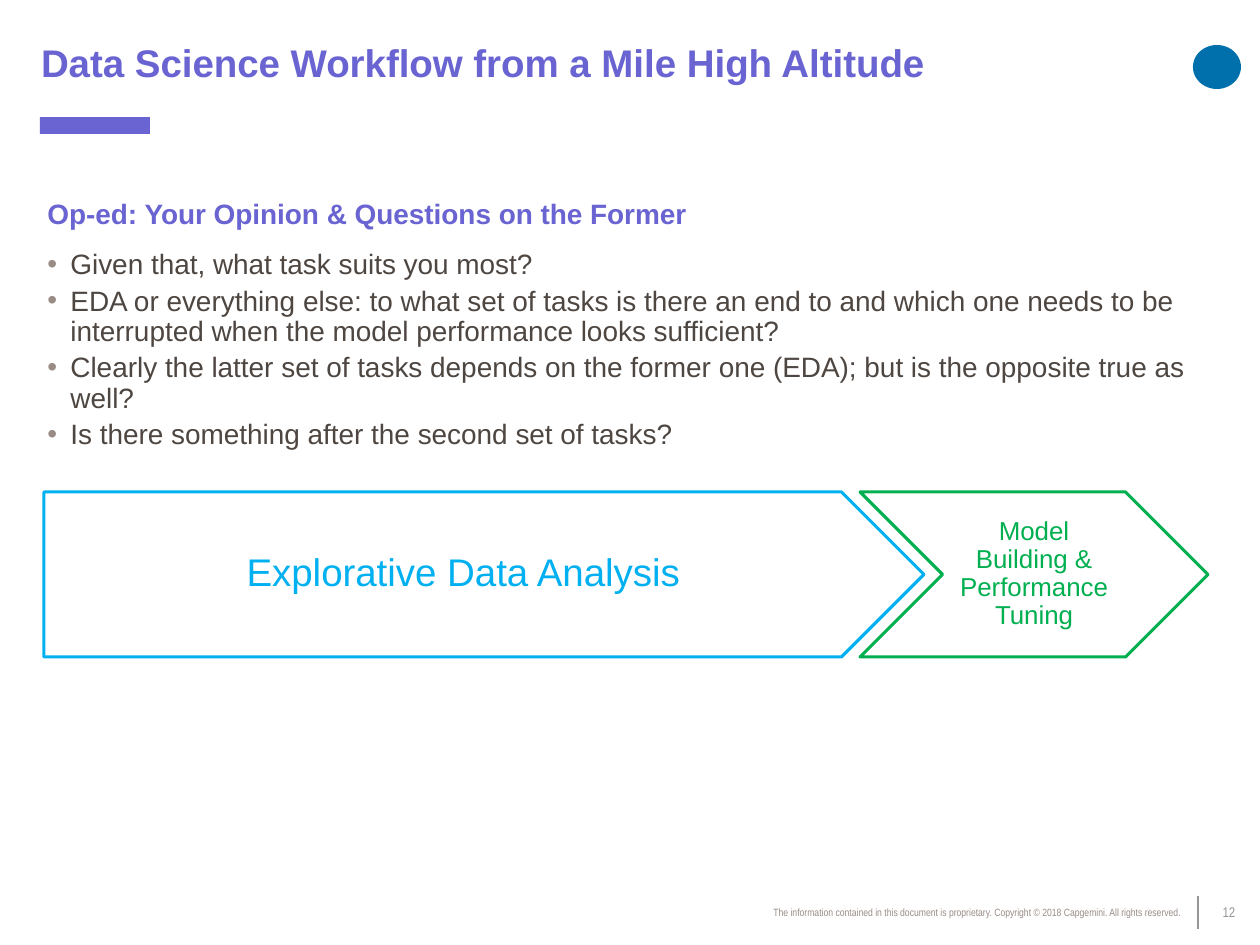
from dataclasses import dataclass

from lxml.etree import SubElement
from pptx import Presentation
from pptx.dml.color import RGBColor
from pptx.enum.shapes import MSO_CONNECTOR, MSO_SHAPE
from pptx.enum.text import MSO_ANCHOR as Anchor, PP_ALIGN as Align
from pptx.oxml.ns import qn
from pptx.util import Pt

EMU_PER_PX = 914400 / 126


def px(length):
    return round(length * EMU_PER_PX)


@dataclass(frozen=True)
class Theme:
    font: str = "Arial"
    narrow: str = "Arial Narrow"
    purple: str = "6964D1"
    body: str = "4E4641"
    bullet: str = "998C85"
    grey: str = "969696"
    white: str = "FFFFFF"
    blue: str = "00B0F0"
    green: str = "00B050"
    emblem: str = "0070AD"
    title_size: float = 22
    body_size: float = 16
    stage_size: float = 14.8
    number_size: float = 8
    footer_size: float = 6
    line_spacing: float = 0.9
    footer_spacing: float = 0.85
    space_after: float = 3.7


class SlideBuilder:
    def __init__(self, slide, theme):
        self.slide = slide
        self.theme = theme

    def style(self, paragraph, size, color, bold=False, align=Align.LEFT, font=None, spacing=None):
        paragraph.alignment = align
        paragraph.line_spacing = spacing or self.theme.line_spacing
        paragraph.font.name = font or self.theme.font
        paragraph.font.size = Pt(size)
        paragraph.font.bold = bold
        paragraph.font.color.rgb = RGBColor.from_string(color)

    def title(self, text, left, top, width, height):
        title = self.slide.shapes.title
        title.left, title.top, title.width, title.height = map(px, (left, top, width, height))
        frame = title.text_frame
        frame.text = text
        frame.vertical_anchor = Anchor.MIDDLE
        frame.margin_left, frame.margin_right = px(41), px(23)
        frame.margin_top = frame.margin_bottom = px(5)
        self.style(frame.paragraphs[0], self.theme.title_size, self.theme.purple, bold=True)

    def text(self, lines, left, top, width, height, size, color, anchor=Anchor.TOP,
             bulleted=False, **style):
        box = self.slide.shapes.add_textbox(*map(px, (left, top, width, height)))
        frame = box.text_frame
        frame.word_wrap = True
        frame.vertical_anchor = anchor
        frame.text = "\n".join(lines)
        for paragraph in frame.paragraphs:
            if bulleted:
                self.bullet(paragraph)
            paragraph.space_after = Pt(self.theme.space_after)
            self.style(paragraph, size, color, **style)

    def bullet(self, paragraph):
        properties = paragraph._p.get_or_add_pPr()
        properties.set("marL", str(px(23)))
        properties.set("indent", str(px(-23)))
        bullet_color = SubElement(properties, qn("a:buClr"))
        SubElement(bullet_color, qn("a:srgbClr"), val=self.theme.bullet)
        SubElement(properties, qn("a:buFont"), typeface=self.theme.font)
        SubElement(properties, qn("a:buChar"), char="•")

    def block(self, kind, left, top, width, height, fill):
        shape = self.slide.shapes.add_shape(kind, *map(px, (left, top, width, height)))
        shape.shadow.inherit = False
        shape.fill.solid()
        shape.fill.fore_color.rgb = RGBColor.from_string(fill)
        shape.line.fill.background()
        return shape

    def stage(self, kind, text, left, top, width, height, size, color):
        shape = self.block(kind, left, top, width, height, self.theme.white)
        fill_color = shape._element.spPr.find(qn("a:solidFill"))[0]
        SubElement(fill_color, qn("a:alpha"), val="5000")
        shape.line.color.rgb = RGBColor.from_string(color)
        shape.line.width = Pt(1.75)
        frame = shape.text_frame
        frame.word_wrap = True
        frame.vertical_anchor = Anchor.MIDDLE
        frame.text = text
        self.style(frame.paragraphs[0], size, color, align=Align.CENTER)

    def line(self, start, end, color):
        connector = self.slide.shapes.add_connector(
            MSO_CONNECTOR.STRAIGHT, *map(px, (*start, *end)))
        connector.line.color.rgb = RGBColor.from_string(color)
        connector.line.width = Pt(0.75)
        SubElement(connector._element.spPr, qn("a:effectLst"))


def main():
    theme = Theme()
    presentation = Presentation()
    presentation.slide_width, presentation.slide_height = px(1260), px(945)
    title_only = presentation.slide_layouts[5]
    builder = SlideBuilder(presentation.slides.add_slide(title_only), theme)

    builder.block(MSO_SHAPE.OVAL, 1193, 45, 48, 44, theme.emblem)
    builder.block(MSO_SHAPE.RECTANGLE, 40, 117, 110, 17, theme.purple)
    builder.title("Data Science Workflow from a Mile High Altitude", 0, -4, 1260, 139)

    builder.text(["Op-ed: Your Opinion & Questions on the Former"],
                 35, 194, 1191, 43, theme.body_size, theme.purple, bold=True)
    questions = [
        "Given that, what task suits you most?",
        "EDA or everything else: to what set of tasks is there an end to and which one "
        "needs to be interrupted when the model performance looks sufficient?",
        "Clearly the latter set of tasks depends on the former one (EDA); "
        "but is the opposite true as well?",
        "Is there something after the second set of tasks?",
    ]
    builder.text(questions, 35, 244, 1191, 615, theme.body_size, theme.body, bulleted=True)

    stage_top, stage_height = 492, 165
    builder.stage(MSO_SHAPE.PENTAGON, "Explorative Data Analysis",
                  44, stage_top, 880, stage_height, theme.title_size, theme.blue)
    builder.stage(MSO_SHAPE.CHEVRON, "Model Building & Performance Tuning",
                  860, stage_top, 348, stage_height, theme.stage_size, theme.green)

    builder.line((1198, 896), (1198, 929), theme.grey)
    builder.text(["12"], 1198, 896, 62, 34, theme.number_size, theme.grey, Anchor.MIDDLE,
                 align=Align.CENTER, font=theme.narrow, spacing=theme.footer_spacing)
    builder.text(["The information contained in this document\u00a0is proprietary. "
                  "Copyright © 2018 Capgemini. All rights reserved."],
                 566, 902, 627, 24, theme.footer_size, theme.bullet,
                 align=Align.RIGHT, font=theme.narrow, spacing=theme.footer_spacing)

    presentation.save("out.pptx")


if __name__ == "__main__":
    main()
